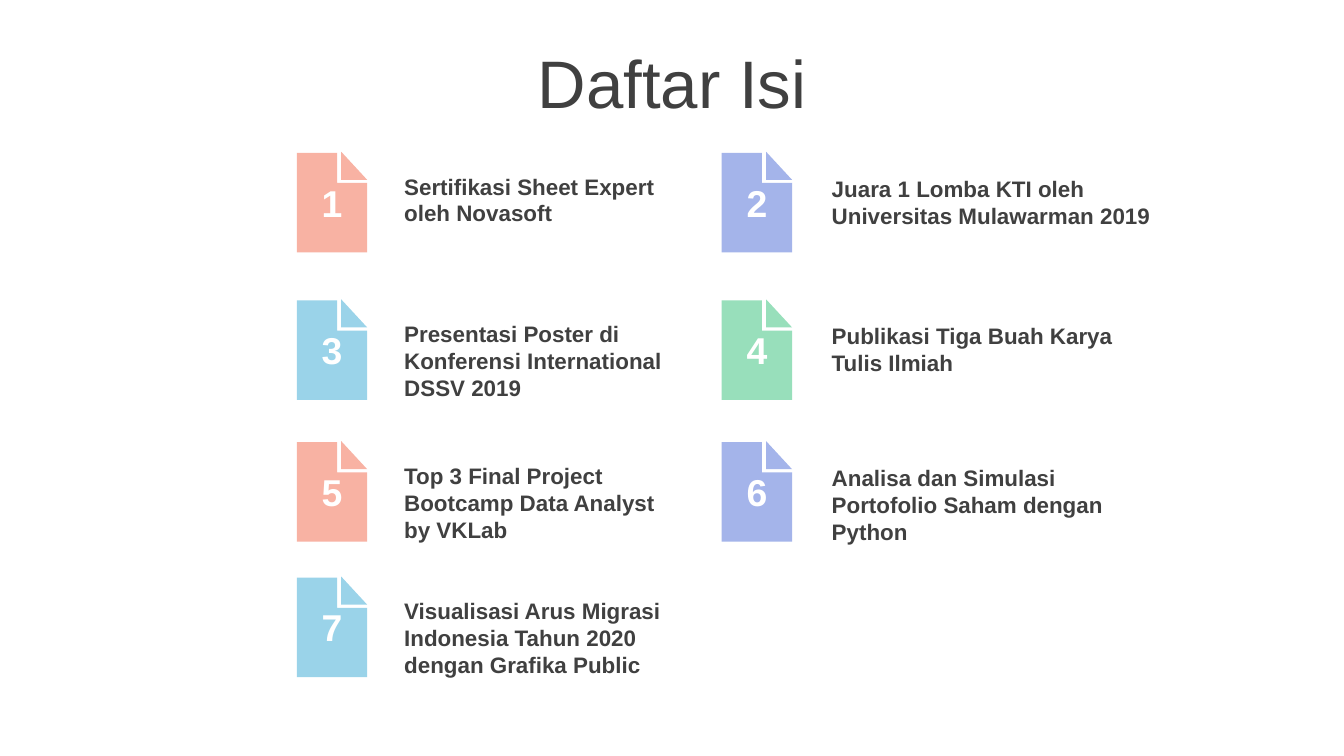
import pptx
import pptx.util
import pptx.dml.color
import pptx.enum.text

Cm = pptx.util.Cm
Pt = pptx.util.Pt
Hue = pptx.dml.color.RGBColor.from_string
Align = pptx.enum.text.PP_ALIGN
Anchor = pptx.enum.text.MSO_ANCHOR

INK = {"dark": "404040", "white": "FFFFFF", "coral": "F8B2A3",
       "lilac": "A4B4EA", "sky": "9AD3E9", "mint": "98DFBB"}

TITLE = "Daftar Isi"
ITEMS = [
    ("Sertifikasi Sheet Expert oleh Novasoft", "coral", 2),
    ("Juara 1 Lomba KTI oleh Universitas Mulawarman 2019", "lilac", 2),
    ("Presentasi Poster di Konferensi International DSSV 2019", "sky", 3),
    ("Publikasi Tiga Buah Karya Tulis Ilmiah", "mint", 2),
    ("Top 3 Final Project Bootcamp Data Analyst by VKLab", "coral", 3),
    ("Analisa dan Simulasi Portofolio Saham dengan Python", "lilac", 3),
    ("Visualisasi Arus Migrasi Indonesia Tahun 2020 dengan Grafika Public",
     "sky", 3),
]

ROWS = [2.87, 5.66, 8.34, 10.9]
COLS = [
    {"page": 5.61, "text": 7.39, "wide": 5.5, "drop": 0.27},
    {"page": 13.64, "text": 15.47, "wide": 6.83, "drop": 0.31},
]
BODY = [(0, 2), (76, 2), (76, 59), (133, 59), (133, 190), (0, 190)]
FOLD = [(84, 0), (133, 53), (84, 53)]

LOOKS = {
    "title": {"size": Pt(36), "bold": False, "name": "Arial"},
    "digit": {"size": Pt(20), "bold": True, "name": "Arial"},
    "label": {"size": Pt(12), "bold": True, "name": "Arial"},
}


def write(shape, text, look, ink, align, anchor):
    frame = shape.text_frame
    frame.word_wrap = True
    frame.vertical_anchor = anchor
    para = frame.paragraphs[0]
    para.alignment = align
    run = para.add_run()
    run.text = text
    for key, value in LOOKS[look].items():
        setattr(run.font, key, value)
    run.font.color.rgb = Hue(INK[ink])


def add_text(slide, left, top, wide, high, *style):
    box = slide.shapes.add_textbox(Cm(left), Cm(top), Cm(wide), Cm(high))
    write(box, *style)


def add_page(slide, left, top, digit, ink):
    pen = slide.shapes.build_freeform(*BODY[0], scale=Cm(0.01))
    pen.add_line_segments(BODY[1:], close=True)
    pen.move_to(*FOLD[0])
    pen.add_line_segments(FOLD[1:], close=True)
    page = pen.convert_to_shape(Cm(left), Cm(top))
    page.shadow.inherit = False
    page.fill.solid()
    page.fill.fore_color.rgb = Hue(INK[ink])
    page.line.fill.background()
    write(page, digit, "digit", "white", Align.CENTER, Anchor.MIDDLE)


def main():
    deck = pptx.Presentation()
    deck.slide_width, deck.slide_height = Cm(25.4), Cm(14.29)
    slide = deck.slides.add_slide(deck.slide_layouts[6])
    add_text(slide, 0, 0.74, 25.4, 1.6, TITLE, "title", "dark",
             Align.CENTER, Anchor.MIDDLE)
    for index, (text, ink, lines) in enumerate(ITEMS):
        row, col = divmod(index, len(COLS))
        top, place = ROWS[row], COLS[col]
        add_page(slide, place["page"], top, str(index + 1), ink)
        add_text(slide, place["text"], top + place["drop"], place["wide"],
                 0.25 + 0.51 * lines, text, "label", "dark",
                 Align.LEFT, Anchor.TOP)
    deck.save("out.pptx")


if __name__ == "__main__":
    main()
